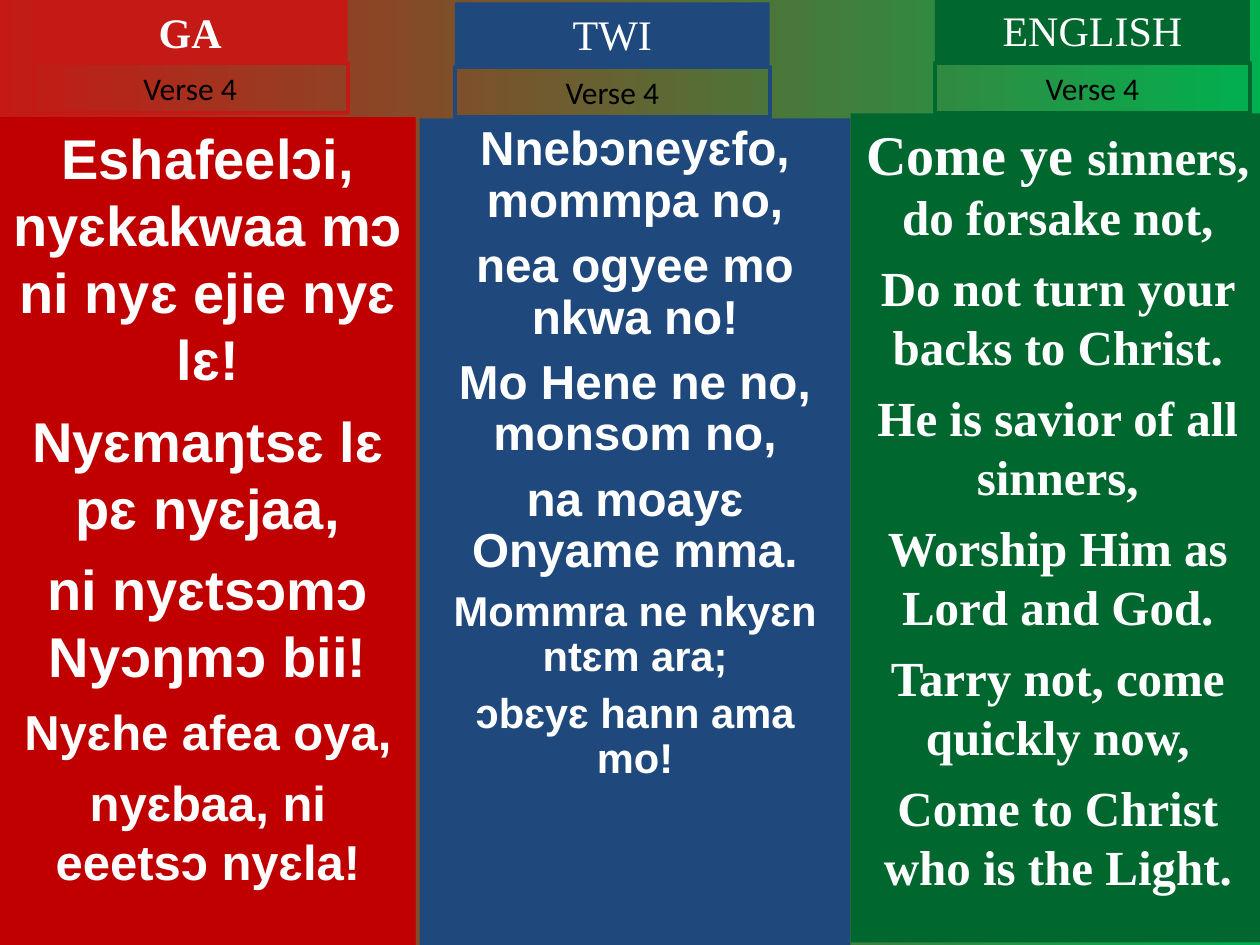
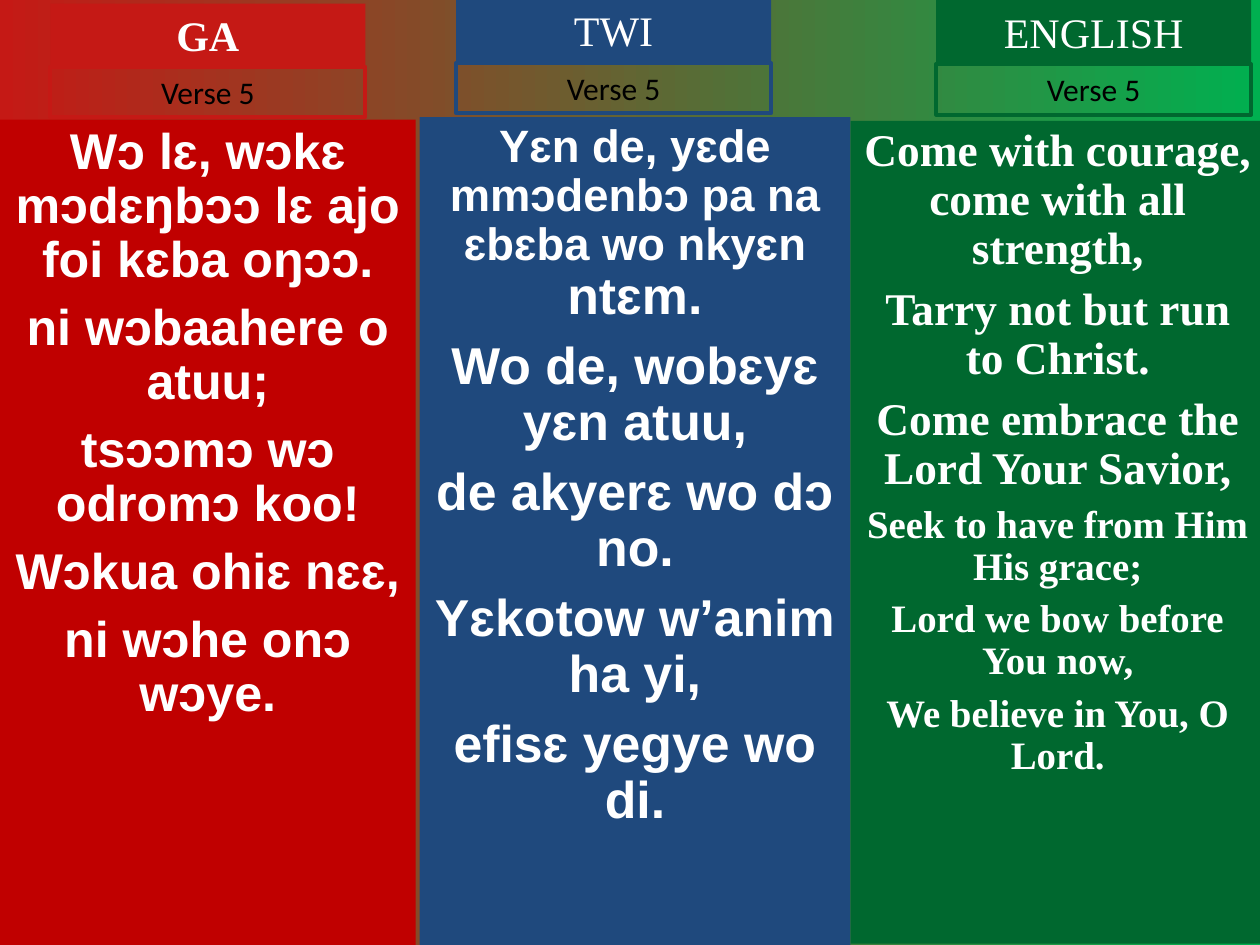
"""Build two hymn slides with each verse in Ga, Twi and English columns."""
from pptx import Presentation
from pptx import util as u
from pptx.dml.color import RGBColor
from pptx.enum import shapes, text

COLORS = {
    "red": "C51915", "dark_red": "C00000", "blue": "1F497D",
    "green": "00682F", "bright_green": "00B050",
    "white": "FFFFFF", "black": "000000",
}

prs = Presentation()
prs.slide_width, prs.slide_height = u.Inches(10), u.Inches(7.5)
COL, ROW = prs.slide_width / 1000, prs.slide_height / 750
TAG_W, TITLE_H, VERSE_H = 250, 50, 40

LANGUAGES = [
    {"name": "GA", "left": 0, "width": 330, "panel": "dark_red", "tag": "red",
     "font": "Arial", "bold": True},
    {"name": "TWI", "left": 333, "width": 342, "panel": "blue", "tag": "blue",
     "font": "Arial", "bold": False},
    {"name": "ENGLISH", "left": 675, "width": 329, "panel": "green", "tag": "green",
     "font": "Times New Roman", "bold": False},
]

VERSES = [
    ("Verse 4", [
        {"top": 93, "bottom": 750, "tag_left": 26, "title_top": 0, "verse_top": 50,
         "scale": 1, "lines": [
             [(32, "Eshafeelɔi, nyɛkakwaa mɔ ni nyɛ ejie nyɛ lɛ!")],
             [(32, "Nyɛmaŋtsɛ lɛ pɛ nyɛjaa,")],
             [(32, "ni nyɛtsɔmɔ Nyɔŋmɔ bii!")],
             [(28, "Nyɛhe afea oya,")],
             [(28, "nyɛbaa, ni eeetsɔ nyɛla!")]]},
        {"top": 94, "bottom": 750, "tag_left": 361, "title_top": 2, "verse_top": 53,
         "scale": 0.85, "lines": [
             [(32, "Nnebɔneyɛfo, mommpa no,")],
             [(32, "nea ogyee mo nkwa no!")],
             [(32, "Mo Hene ne no, monsom no,")],
             [(32, "na moayɛ Onyame mma.")],
             [(28, "Mommra ne nkyɛn ntɛm ara;")],
             [(28, "ɔbɛyɛ hann ama mo!")]]},
        {"top": 90, "bottom": 748, "tag_left": 742, "title_top": -1, "verse_top": 50,
         "scale": 1, "lines": [
             [(32, "Come ye "), (28, "sinners, do forsake not,")],
             [(28, "Do not turn your backs to Christ.")],
             [(28, "He is savior of all sinners,")],
             [(28, "Worship Him as Lord and God.")],
             [(28, "Tarry not, come quickly now,")],
             [(28, "Come to Christ who is the Light.")]]},
    ]),
    ("Verse 5", [
        {"top": 95, "bottom": 750, "tag_left": 40, "title_top": 3, "verse_top": 53,
         "scale": 0.925, "lines": [
             [(31, "Wɔ lɛ, wɔkɛ mɔdɛŋbɔɔ lɛ ajo foi kɛba oŋɔɔ.")],
             [(31, "ni wɔbaahere o atuu;")],
             [(31, "tsɔɔmɔ wɔ odromɔ koo!")],
             [(31, "Wɔkua ohiɛ nɛɛ,")],
             [(31, "ni wɔhe onɔ wɔye.")]]},
        {"top": 93, "bottom": 750, "tag_left": 362, "title_top": -1, "verse_top": 50,
         "scale": 0.925, "lines": [
             [(28, "Yɛn de, yɛde mmɔdenbɔ pa na ɛbɛba wo nkyɛn "), (32, "ntɛm.")],
             [(32, "Wo de, wobɛyɛ yɛn atuu,")],
             [(32, "de akyerɛ wo dɔ no.")],
             [(32, "Yɛkotow w’anim ha yi,")],
             [(32, "efisɛ yegye wo di.")]]},
        {"top": 96, "bottom": 749, "tag_left": 743, "title_top": 0, "verse_top": 51,
         "scale": 0.925, "lines": [
             [(28, "Come with courage, come with all strength,")],
             [(28, "Tarry not but run to Christ.")],
             [(28, "Come embrace the Lord Your Savior,")],
             [(24, "Seek to have from Him His grace;")],
             [(24, "Lord we bow before You now,")],
             [(24, "We believe in You, O Lord.")]]},
    ]),
]


def add_box(s, left, top, width, height, fill=None, line=None):
    """Add a rectangle placed in grid units and return it."""
    sp = s.shapes.add_shape(shapes.MSO_SHAPE.RECTANGLE, round(left * COL), round(top * ROW),
                            round(width * COL), round(height * ROW))
    sp.shadow.inherit = False
    if fill:
        sp.fill.solid()
        sp.fill.fore_color.rgb = RGBColor.from_string(COLORS[fill])
    else:
        sp.fill.background()
    if line:
        sp.line.color.rgb = RGBColor.from_string(COLORS[line])
        sp.line.width = u.Pt(2.25)
    else:
        sp.line.fill.background()
    sp.text_frame.word_wrap = True
    sp.text_frame.vertical_anchor = text.MSO_ANCHOR.TOP
    return sp


def write(sp, lines, font, color, bold, scale=1):
    """Write centred paragraphs of (size, words) runs into a shape."""
    tf = sp.text_frame
    for i, line in enumerate(lines):
        p = tf.add_paragraph() if i else tf.paragraphs[0]
        p.alignment = text.PP_ALIGN.CENTER
        p.line_spacing = 0.9 if scale < 1 else 1.0
        if i:
            p.space_before = u.Pt(line[0][0] / 4)
        for size, words in line:
            r = p.add_run()
            r.text = words
            r.font.name = font
            r.font.size = u.Pt(round(size * scale, 1))
            r.font.bold = bold
            r.font.color.rgb = RGBColor.from_string(COLORS[color])


for verse, columns in VERSES:
    s = prs.slides.add_slide(prs.slide_layouts[6])
    bg = s.background.fill
    bg.gradient()
    bg.gradient_angle = 0
    for stop, color in zip(bg.gradient_stops, ("red", "bright_green")):
        stop.color.rgb = RGBColor.from_string(COLORS[color])

    for lang, col in zip(LANGUAGES, columns):
        panel = add_box(s, lang["left"], col["top"], lang["width"],
                        col["bottom"] - col["top"], fill=lang["panel"])
        write(panel, col["lines"], lang["font"], "white", True, col["scale"])

        title = add_box(s, col["tag_left"], col["title_top"], TAG_W, TITLE_H, fill=lang["tag"])
        write(title, [[(24, lang["name"])]], "Times New Roman", "white", lang["bold"])

        label = add_box(s, col["tag_left"], col["verse_top"], TAG_W, VERSE_H, line=lang["tag"])
        write(label, [[(18, verse)]], "Calibri", "black", False)

prs.save("out.pptx")
